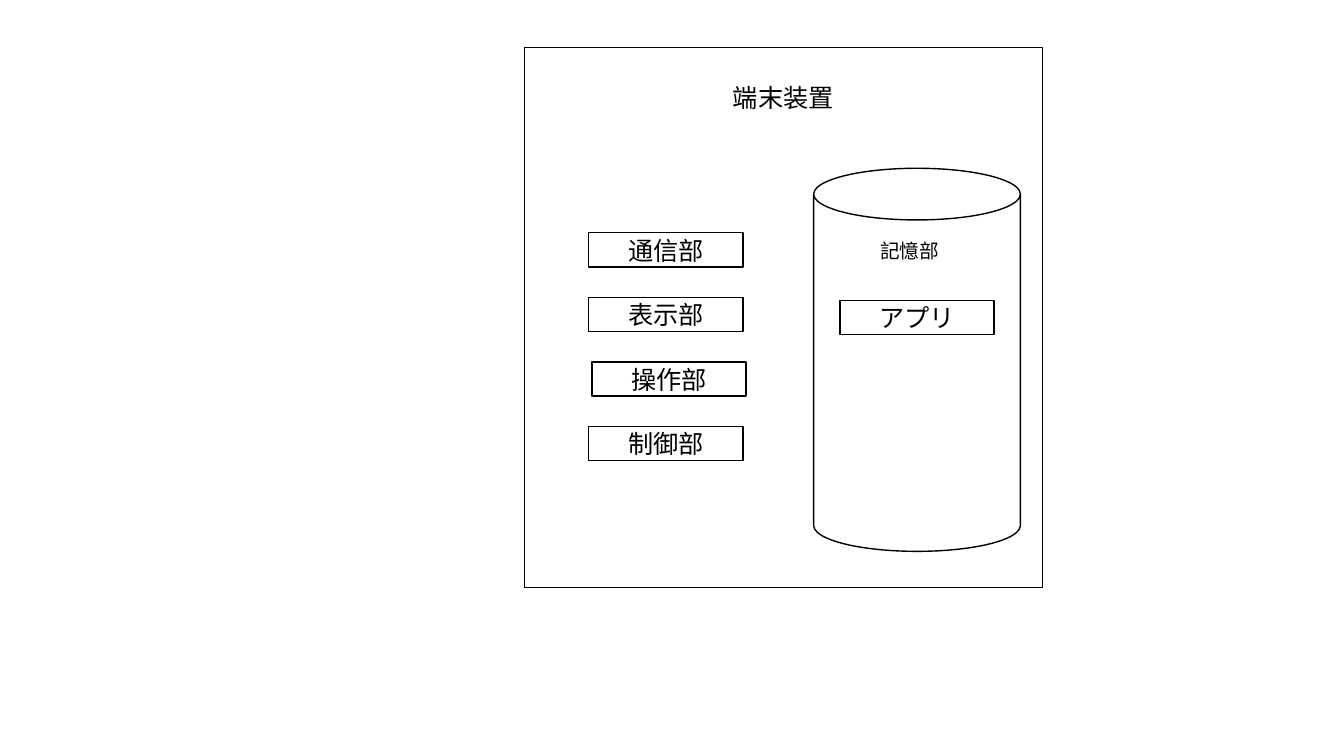
from dataclasses import dataclass
from typing import Any

from lxml import etree
from pptx import Presentation
from pptx import util as u
from pptx.dml import color
from pptx.enum import shapes, text
from pptx.oxml import ns

PX = 9144


@dataclass(frozen=True)
class Theme:
    ink: color.RGBColor = color.RGBColor(0, 0, 0)
    paper: color.RGBColor = color.RGBColor(255, 255, 255)
    font: str = "Noto Sans CJK JP"
    large: int = 18
    small: int = 14
    line: int = 1


@dataclass(frozen=True)
class Box:
    left: int
    top: int
    width: int
    height: int
    caption: str = ""
    kind: shapes.MSO_SHAPE = shapes.MSO_SHAPE.RECTANGLE


@dataclass(frozen=True)
class Label:
    left: int
    top: int
    width: int
    height: int
    caption: str
    size: int


THEME = Theme()
UNIT_WIDTH, UNIT_HEIGHT = 153, 34
UNIT_LEFT, UNIT_TOP, UNIT_STEP = 584, 231, 64
UNITS = {"通信部": 0, "表示部": 0, "操作部": 3, "制御部": 0}

CONTAINERS = [
    Box(520, 47, 514, 536),
    Box(807, 167, 205, 380, kind=shapes.MSO_SHAPE.CAN),
]
LABELS = [
    Label(717, 77, 121, 40, "端末装置", THEME.large),
    Label(863, 232, 79, 34, "記憶部", THEME.small),
]
BOXES = [Box(833, 298, UNIT_WIDTH, UNIT_HEIGHT, "アプリ")] + [
    Box(UNIT_LEFT + shift, UNIT_TOP + row * UNIT_STEP, UNIT_WIDTH, UNIT_HEIGHT, caption)
    for row, (caption, shift) in enumerate(UNITS.items())
]


def apply_format(target: Any, values: dict[str, Any]) -> None:
    for name, value in values.items():
        setattr(target, name, value)


def frame_of(item: Box | Label) -> list[int]:
    return [length * PX for length in (item.left, item.top, item.width, item.height)]


def write_caption(shape: Any, caption: str, size: int, alignment: text.PP_ALIGN) -> None:
    paragraph = shape.text_frame.paragraphs[0]
    paragraph.alignment = alignment
    run = paragraph.add_run()
    run.text = caption
    apply_format(run.font, {"size": u.Pt(size), "name": THEME.font})
    run.font.color.rgb = THEME.ink
    east_asian = etree.SubElement(run.font._element, ns.qn("a:ea"))
    east_asian.set("typeface", THEME.font)


def draw_box(slide: Any, box: Box) -> None:
    shape = slide.shapes.add_shape(box.kind, *frame_of(box))
    shape.shadow.inherit = False
    shape.fill.solid()
    shape.fill.fore_color.rgb = THEME.paper
    shape.line.color.rgb = THEME.ink
    shape.line.width = u.Pt(THEME.line)
    if box.caption:
        shape.text_frame.vertical_anchor = text.MSO_ANCHOR.MIDDLE
        write_caption(shape, box.caption, THEME.large, text.PP_ALIGN.CENTER)


def draw_label(slide: Any, label: Label) -> None:
    shape = slide.shapes.add_textbox(*frame_of(label))
    apply_format(
        shape.text_frame,
        {"word_wrap": False, "auto_size": text.MSO_AUTO_SIZE.SHAPE_TO_FIT_TEXT},
    )
    write_caption(shape, label.caption, label.size, text.PP_ALIGN.LEFT)


def main() -> None:
    presentation = Presentation()
    apply_format(presentation, {"slide_width": 1333 * PX, "slide_height": 750 * PX})
    slide = presentation.slides.add_slide(presentation.slide_layouts[6])
    for container in CONTAINERS:
        draw_box(slide, container)
    for label in LABELS:
        draw_label(slide, label)
    for box in BOXES:
        draw_box(slide, box)
    presentation.save("out.pptx")


if __name__ == "__main__":
    main()
